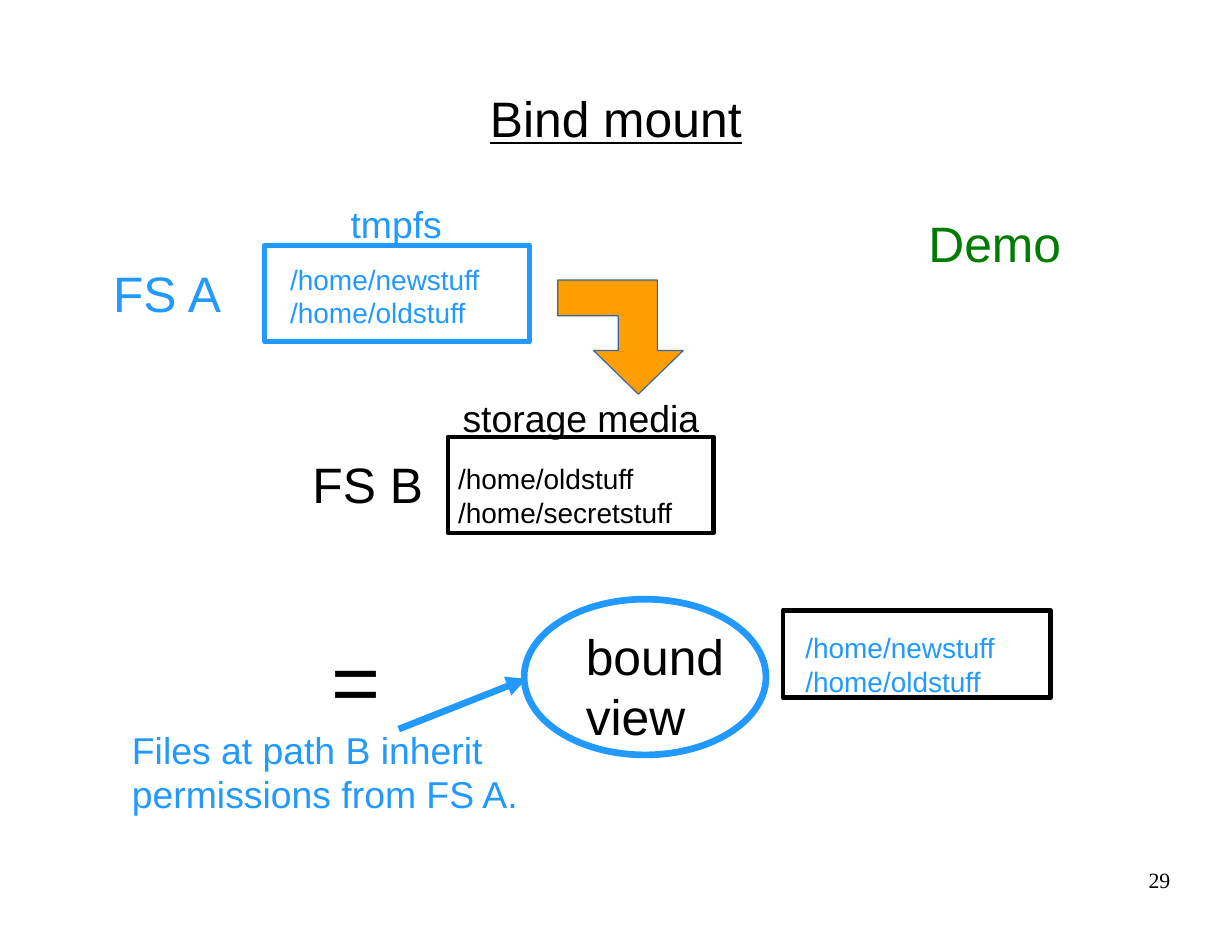
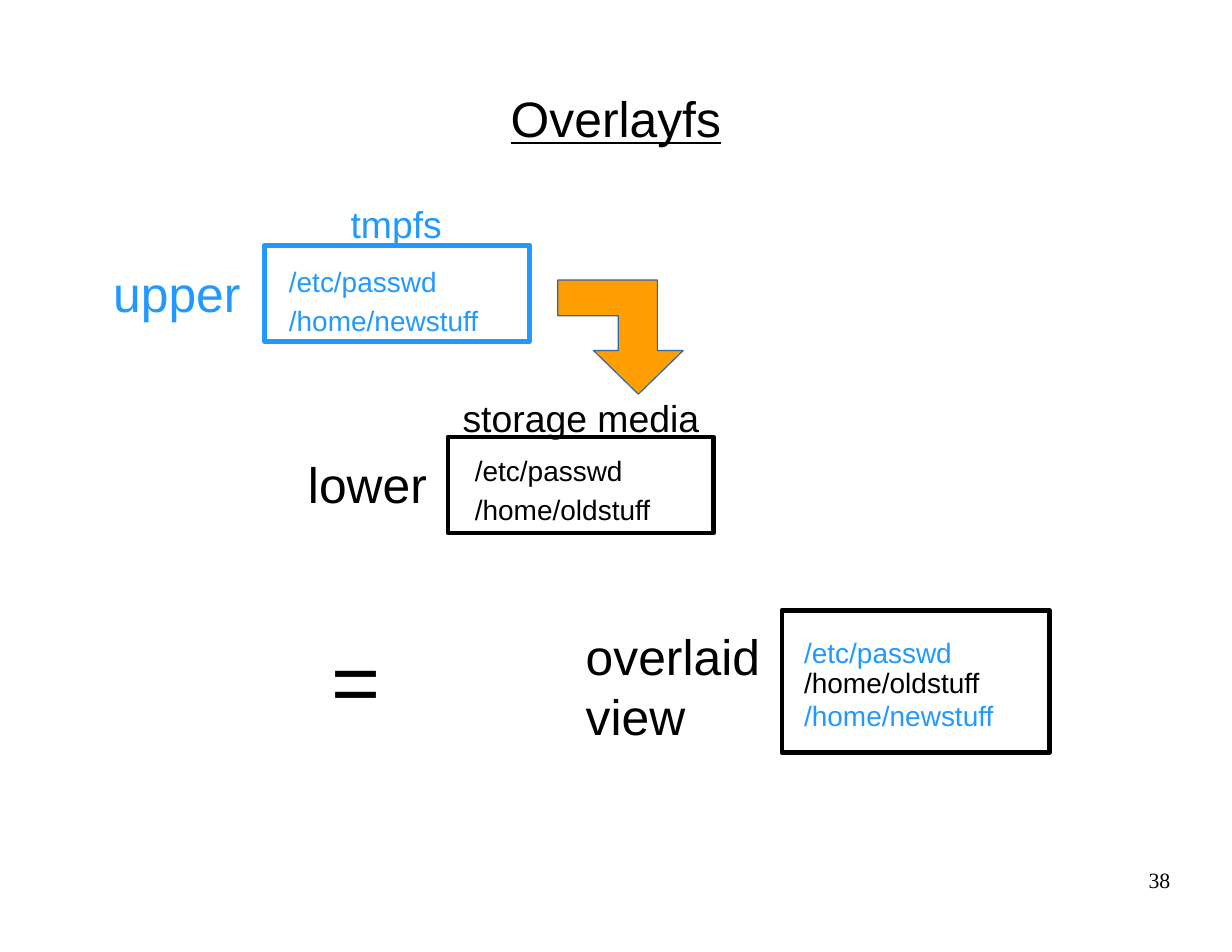
"""Build two slides on how file systems stack: bind mount and overlayfs."""
import itertools
import pptx
import pptx.util
import pptx.dml.color
import pptx.enum.shapes
import pptx.enum.text
import pptx.oxml
import pptx.oxml.ns

Inches, Pt = pptx.util.Inches, pptx.util.Pt
Align = pptx.enum.text.PP_ALIGN
Kind = pptx.enum.shapes.MSO_SHAPE
Fit = pptx.enum.text.MSO_AUTO_SIZE
Mid = pptx.enum.text.MSO_ANCHOR.MIDDLE

WIDE, SLIM, NONE = (0.12, 0.07), (0.1, 0.05), (0, 0)
THEME = {
    "hues": {"blue": "2199FF", "black": "000000", "green": "007C00",
             "gold": "FF9E00", "edge": "3465A4"},
    "lines": {"box": 2.89, "mark": 4.31, "hair": 0},
    "type": {
        "title": {"pad": NONE, "align": Align.CENTER,
                  "font": {"size": Pt(32), "name": "Arial", "underline": True}},
        "page": {"pad": NONE, "align": Align.RIGHT,
                 "font": {"size": Pt(14), "name": "Times New Roman"}},
        "sum": {"pad": WIDE, "font": {"size": Pt(54), "name": "Arial"}},
        "label": {"pad": WIDE, "font": {"size": Pt(32), "name": "Arial"}},
        "store": {"pad": WIDE, "font": {"size": Pt(24), "name": "Arial"}},
        "file": {"pad": WIDE, "font": {"size": Pt(18), "name": "Arial"}},
        "demo": {"pad": SLIM, "font": {"size": Pt(32), "name": "Arial"}},
        "note": {"pad": SLIM, "font": {"size": Pt(24), "name": "Arial"}},
    },
}

TITLE = (0.55, 0.34, 9.9, 1.42)
PAGE = (7.89, 7.74, 2.56, 0.59)
BEND = [(5.3, 3.13), (5.52, 3.13), (5.52, 2.82), (4.98, 2.82), (4.98, 2.5),
        (5.87, 2.5), (5.87, 3.13), (6.1, 3.13), (5.7, 3.52)]
BOXES = [("blue", (2.36, 2.19, 2.37, 0.86)), ("black", (4, 3.9, 2.37, 0.86))]
SHARED = [
    ("store", "blue", ["tmpfs"], (3.01, 1.73, 1.05, 0.51)),
    ("store", "black", ["storage media"], (4.01, 3.46, 2.35, 0.51)),
    ("sum", "black", ["="], (2.84, 5.54, 1.89, 0.98)),
]
SLIDES = [
    {
        "title": "Bind mount", "page": "29",
        "view": (6.99, 5.45, 2.39, 0.78),
        "ring": (4.68, 5.35, 2.16, 1.39),
        "arrow": (3.56, 6.51, 4.7, 6.06),
        "texts": [
            ("label", "blue", ["FS A"], (0.89, 2.28, 1.2, 0.64)),
            ("file", "blue", ["/home/newstuff", "/home/oldstuff"], (2.47, 2.27, 1.93, 0.7)),
            ("label", "black", ["FS B"], (2.67, 3.98, 1.23, 0.64)),
            ("file", "black", ["/home/oldstuff", "/home/secretstuff"], (3.97, 4.05, 2.15, 0.7)),
            ("label", "black", ["bound", "view"], (5.11, 5.52, 1.79, 1.14)),
            ("file", "blue", ["/home/newstuff", "/home/oldstuff"], (7.07, 5.56, 1.93, 0.7)),
            ("note", "blue", ["Files at path B inherit", "permissions from FS A."],
             (1.08, 6.44, 3.64, 0.84)),
            ("demo", "green", ["Demo"], (8.19, 1.85, 1.38, 0.6)),
        ],
    },
    {
        "title": "Overlayfs", "page": "38",
        "view": (6.98, 5.45, 2.39, 1.27),
        "texts": [
            ("label", "blue", ["upper"], (0.89, 2.28, 1.38, 0.64)),
            ("file", "blue", ["/etc/passwd"], (2.46, 2.29, 1.56, 0.42)),
            ("file", "blue", ["/home/newstuff"], (2.46, 2.64, 1.93, 0.42)),
            ("label", "black", ["lower"], (2.63, 3.98, 1.3, 0.64)),
            ("file", "black", ["/etc/passwd"], (4.12, 3.98, 1.56, 0.42)),
            ("file", "black", ["/home/oldstuff"], (4.12, 4.33, 1.8, 0.42)),
            ("label", "black", ["overlaid", "view"], (5.11, 5.52, 1.8, 1.14)),
            ("file", "blue", ["/etc/passwd"], (7.06, 5.6, 1.56, 0.42)),
            ("file", "black blue", ["/home/oldstuff", "/home/newstuff"],
             (7.06, 5.87, 1.93, 0.7)),
        ],
    },
]


def apply(item, values):
    for key, value in values.items():
        setattr(item, key, value)


def tint(name):
    return pptx.dml.color.RGBColor.from_string(THEME["hues"][name])


def stroke(item, hue, weight):
    item.line.color.rgb = tint(hue)
    item.line.width = Pt(THEME["lines"][weight])


def write(slide, kind, hues, lines, place):
    style = THEME["type"][kind]
    frame = slide.shapes.add_textbox(*map(Inches, place)).text_frame
    left, top = map(Inches, style["pad"])
    apply(frame, {"margin_left": left, "margin_right": 0,
                  "margin_top": top, "margin_bottom": top,
                  "word_wrap": True, "auto_size": Fit.NONE})
    if kind == "title":
        frame.vertical_anchor = Mid
    frame.text = "\n".join(lines)
    for para, hue in zip(frame.paragraphs, itertools.cycle(hues.split())):
        para.alignment = style.get("align", Align.LEFT)
        font = para.runs[0].font
        apply(font, style["font"])
        font.color.rgb = tint(hue)


def outline(slide, kind, hue, weight, place):
    shape = slide.shapes.add_shape(kind, *map(Inches, place))
    shape.shadow.inherit = False
    shape.fill.background()
    stroke(shape, hue, weight)


def bend(slide):
    points = [tuple(map(Inches, spot)) for spot in BEND]
    draft = slide.shapes.build_freeform(*points[0], scale=1)
    draft.add_line_segments(points[1:], close=True)
    shape = draft.convert_to_shape()
    shape.shadow.inherit = False
    shape.fill.solid()
    shape.fill.fore_color.rgb = tint("gold")
    stroke(shape, "edge", "hair")


def point(slide, ends):
    kind = pptx.enum.shapes.MSO_CONNECTOR.STRAIGHT
    line = slide.shapes.add_connector(kind, *map(Inches, ends))
    stroke(line, "blue", "mark")
    space = pptx.oxml.ns.nsdecls("a")
    props = line._element.spPr
    props.find(pptx.oxml.ns.qn("a:ln")).append(
        pptx.oxml.parse_xml(f'<a:tailEnd {space} type="triangle"/>'))
    props.append(pptx.oxml.parse_xml(f"<a:effectLst {space}/>"))


def build(deck, data):
    slide = deck.slides.add_slide(deck.slide_layouts[6])
    if "ring" in data:
        outline(slide, Kind.OVAL, "blue", "mark", data["ring"])
    for hue, place in BOXES + [("black", data["view"])]:
        outline(slide, Kind.RECTANGLE, hue, "box", place)
    for text in SHARED + data["texts"]:
        write(slide, *text)
    write(slide, "title", "black", [data["title"]], TITLE)
    if "arrow" in data:
        point(slide, data["arrow"])
    bend(slide)
    write(slide, "page", "black", [data["page"]], PAGE)


def main():
    deck = pptx.Presentation()
    apply(deck, {"slide_width": Inches(11), "slide_height": Inches(8.5)})
    for data in SLIDES:
        build(deck, data)
    deck.save("out.pptx")


if __name__ == "__main__":
    main()
